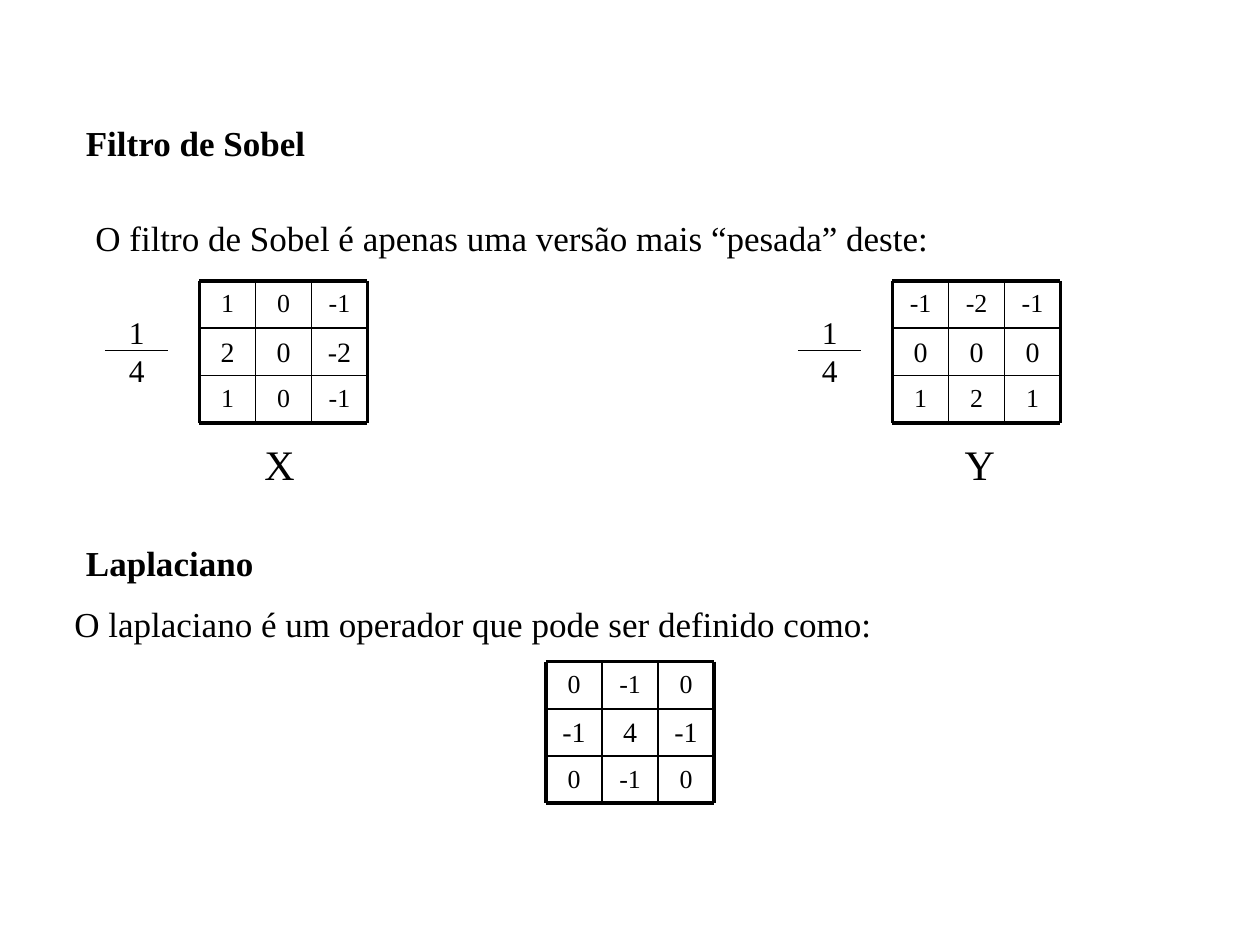
import pptx
import pptx.dml.color
import pptx.enum.shapes
import pptx.enum.text
import pptx.oxml
import pptx.oxml.ns
import pptx.util

# The slide is a grid of 120 columns by 90 rows, each 1/12 inch.
CELL = pptx.util.Inches(1) // 12
FONT = "Times New Roman"
INK = "000000"
KERNEL_WIDTH, KERNEL_HEIGHT = 16, 13.5
ALIGN = pptx.enum.text.PP_ALIGN


def grid(count):
    return pptx.util.Emu(round(count * CELL))


def color(value):
    return pptx.dml.color.RGBColor.from_string(value)


def add_text(shapes, text, left, top, width, height, size=20, bold=False,
             align=ALIGN.LEFT, space_before=0, fixed=False):
    """Add a text box, one paragraph for each line; a fixed one keeps its size."""
    shape = shapes.add_textbox(*map(grid, (left, top, width, height)))
    frame = shape.text_frame
    frame.word_wrap = fixed
    fit = pptx.enum.text.MSO_AUTO_SIZE
    frame.auto_size = fit.NONE if fixed else fit.SHAPE_TO_FIT_TEXT
    frame.text = text
    for paragraph in frame.paragraphs:
        paragraph.alignment = align
        paragraph.space_before = pptx.util.Pt(space_before)
        font = paragraph.runs[0].font
        font.name, font.size, font.bold = FONT, pptx.util.Pt(size), bold
        font.color.rgb = color(INK)


def add_line(shapes, start_x, start_y, end_x, end_y, width):
    line = shapes.add_connector(
        pptx.enum.shapes.MSO_CONNECTOR.STRAIGHT,
        *map(grid, (start_x, start_y, end_x, end_y)))
    line.line.color.rgb = color(INK)
    line.line.width = pptx.util.Pt(width)
    line._element.spPr.append(pptx.oxml.parse_xml(
        f'<a:effectLst {pptx.oxml.ns.nsdecls("a")}/>'))


def add_kernel(slide, values, left, top):
    """Add a filter matrix with a thick frame and thin inner lines."""
    shapes = slide.shapes.add_group_shape().shapes
    size = len(values)
    cell_width, cell_height = KERNEL_WIDTH / size, KERNEL_HEIGHT / size
    for row, numbers in enumerate(values):
        for column, number in enumerate(numbers):
            add_text(shapes, str(number), left + column * cell_width,
                     top + row * cell_height, cell_width, cell_height,
                     size=16 if row == 1 else 14.8, align=ALIGN.CENTER,
                     space_before=4, fixed=True)
    right, bottom = left + KERNEL_WIDTH, top + KERNEL_HEIGHT
    for index in range(size + 1):
        weight = 2.25 if index in (0, size) else 1
        x, y = left + index * cell_width, top + index * cell_height
        add_line(shapes, left, y, right, y, weight)
        add_line(shapes, x, top, x, bottom, weight)


def add_fraction(slide, numerator, denominator, left, middle, width):
    shapes = slide.shapes.add_group_shape().shapes
    text_width, text_height = 3.8, 8.4
    add_text(shapes, f"{numerator}\n{denominator}",
             left + (width - text_width) / 2, middle - text_height / 2,
             text_width, text_height, size=18, align=ALIGN.CENTER)
    add_line(shapes, left, middle, left + width, middle, 0.75)


def add_scaled_filter(slide, label, values, left, top, label_left):
    """Add a kernel with its 1/4 factor and its axis label."""
    add_kernel(slide, values, left + 9, top)
    add_text(slide.shapes, label, label_left, top + KERNEL_HEIGHT + 0.95,
             5.3, 6, size=24)
    add_fraction(slide, 1, 4, left, top + KERNEL_HEIGHT / 2 - 0.1, 6)


def add_sobel(slide, top):
    add_text(slide.shapes, "Filtro de Sobel", 7, top, 23.3, 5.3, bold=True)
    add_text(slide.shapes,
             "O filtro de Sobel é apenas uma versão mais “pesada” deste:",
             7.9, top + 9, 82, 5.3)
    horizontal = [[1, 0, -1], [2, 0, -2], [1, 0, -1]]
    vertical = [[-1, -2, -1], [0, 0, 0], [1, 2, 1]]
    add_scaled_filter(slide, "X", horizontal, 10, top + 15.75, 24)
    add_scaled_filter(slide, "Y", vertical, 76, top + 15.75, 90.7)


def add_laplacian(slide, top):
    add_text(slide.shapes, "Laplaciano", 7, top, 18.4, 5.3, bold=True)
    add_text(slide.shapes, "O laplaciano é um operador que pode ser definido como:",
             5.9, top + 5.75, 78.4, 5.3, align=ALIGN.JUSTIFY)
    add_kernel(slide, [[0, -1, 0], [-1, 4, -1], [0, -1, 0]], 52, top + 12)


def main():
    presentation = pptx.Presentation()
    presentation.slide_width, presentation.slide_height = grid(120), grid(90)
    slide = presentation.slides.add_slide(presentation.slide_layouts[6])
    add_sobel(slide, 11)
    add_laplacian(slide, 51)
    presentation.save("out.pptx")


if __name__ == "__main__":
    main()
